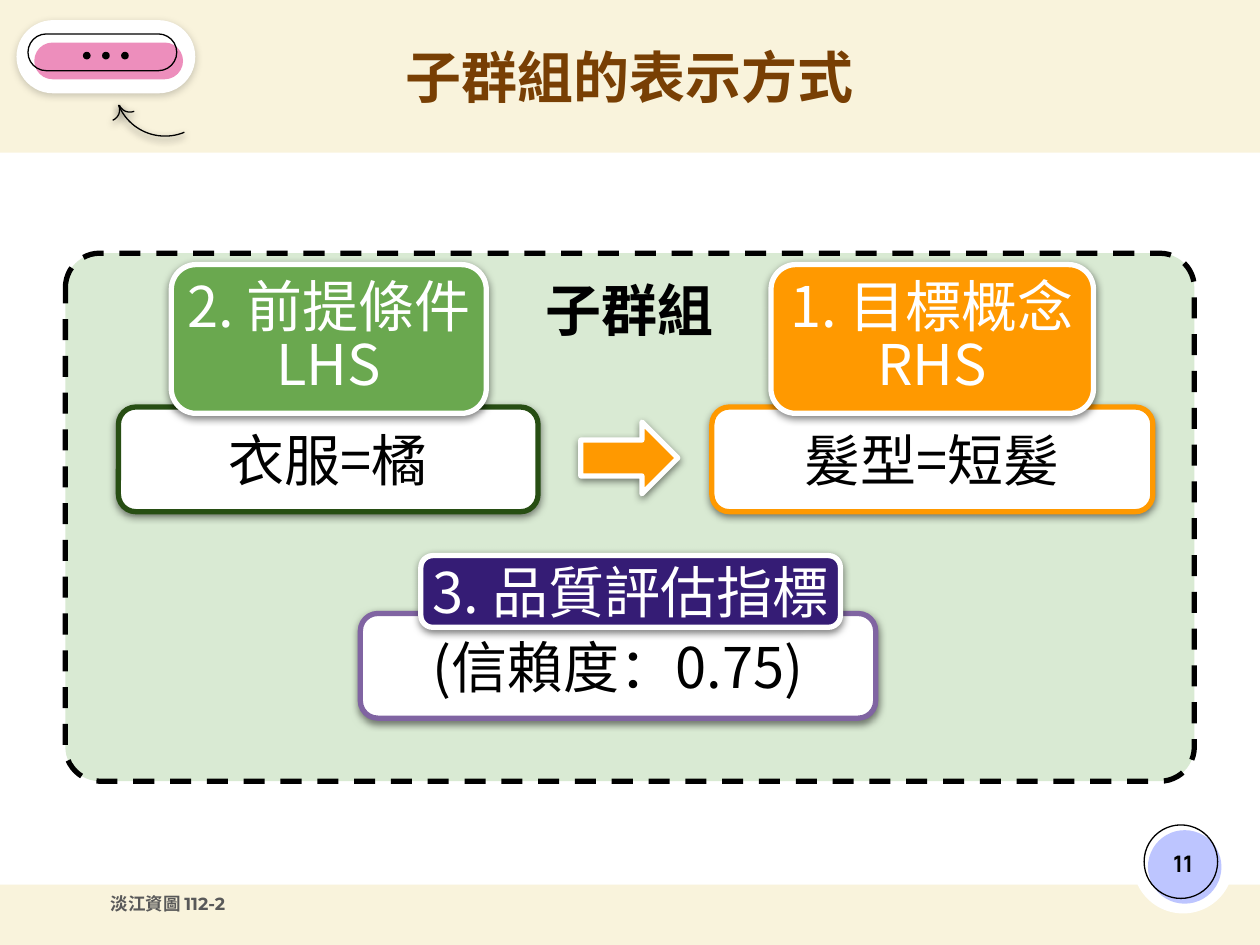
from lxml.etree import SubElement
from pptx import Presentation
from pptx.dml.color import RGBColor
from pptx.enum.dml import MSO_LINE
from pptx.enum.shapes import MSO_SHAPE
from pptx.enum.text import MSO_ANCHOR, PP_ALIGN
from pptx.oxml.ns import qn
from pptx.util import Pt

COLORS = {
    "cream": "F9F3DC", "white": "FFFFFF", "black": "000000", "gray": "595959",
    "brown": "783F04", "lilac": "BDC5FF", "pink": "ED8EBC", "mint": "D9EAD3",
    "green": "6AA84F", "forest": "274E13", "orange": "FF9900",
    "violet": "8064A2", "indigo": "351C75",
}
CJK_FONT = "Noto Sans CJK TC"
TITLE_FONT = "Manrope"
FOOTER_FONT = "Montserrat"


class SlideBuilder:
    """Holds the current slide and the style its elements share."""

    def __init__(self, slide):
        self.slide = slide

    def color(self, name):
        return RGBColor.from_string(COLORS[name])

    def background(self, name):
        fill = self.slide.background.fill
        fill.solid()
        fill.fore_color.rgb = self.color(name)

    def shape(self, kind, box, fill=None, line=None, width=0.75, corner=None, shadow=0):
        """Add a preset shape; shadow is the shadow's opacity in percent."""
        sp = self.slide.shapes.add_shape(kind, *map(Pt, box))
        sp.shadow.inherit = False
        if corner is not None:
            sp.adjustments[0] = corner
        if fill:
            sp.fill.solid()
            sp.fill.fore_color.rgb = self.color(fill)
        else:
            sp.fill.background()
        if line:
            sp.line.color.rgb = self.color(line)
            sp.line.width = Pt(width)
        else:
            sp.line.fill.background()
        if shadow:
            self.drop_shadow(sp, shadow)
        return sp

    def drop_shadow(self, sp, opacity):
        effects = sp._element.spPr.find(qn("a:effectLst"))
        outer = SubElement(effects, qn("a:outerShdw"), blurRad=str(Pt(4.5)),
                           dist=str(Pt(1.5)), dir="5400000", algn="bl", rotWithShape="0")
        rgb = SubElement(outer, qn("a:srgbClr"), val=COLORS["black"])
        SubElement(rgb, qn("a:alpha"), val=str(opacity * 1000))

    def arc(self, box, flip=False):
        """Add a quarter arc turned to form part of the curved arrow."""
        sp = self.shape(MSO_SHAPE.ARC, box, line="black", shadow=68)
        sp.rotation = 157.5
        if flip:
            sp._element.spPr.find(qn("a:xfrm")).set("flipH", "1")

    def set_text(self, sp, lines, size=32, font=CJK_FONT, color="black", bold=False,
                 align=PP_ALIGN.CENTER, anchor=MSO_ANCHOR.MIDDLE, side=7.2, top=7.2,
                 wrap=True, spacing=None):
        tf = sp.text_frame
        tf.word_wrap = wrap
        tf.vertical_anchor = anchor
        tf.margin_left = tf.margin_right = Pt(side)
        tf.margin_top, tf.margin_bottom = Pt(top), Pt(7.2)
        tf.text = "\n".join(lines)
        for p in tf.paragraphs:
            p.alignment = align
            p.line_spacing = spacing
            p.font.size = Pt(size)
            p.font.bold = bold
            p.font.color.rgb = self.color(color)
            p.font.name = font
            SubElement(p.font._element, qn("a:ea"), typeface=CJK_FONT)

    def text(self, box, line, **style):
        self.set_text(self.slide.shapes.add_textbox(*map(Pt, box)), [line], **style)

    def statement(self, box, line, border, side=7.2):
        sp = self.shape(MSO_SHAPE.ROUNDED_RECTANGLE, box, "white", border, 3, shadow=50)
        self.set_text(sp, [line], side=side)

    def label(self, box, lines, fill):
        sp = self.shape(MSO_SHAPE.ROUNDED_RECTANGLE, box, fill, "white", 3, shadow=50)
        self.set_text(sp, lines, color="white", side=0, wrap=False,
                      spacing=0.87 if len(lines) > 1 else None)


def add_frame(b):
    b.background("cream")
    b.text((56.2, 504, 310.3, 26.6), "淡江資圖 112-2", size=10, font=FOOTER_FONT,
           color="gray", bold=True, align=PP_ALIGN.LEFT, anchor=MSO_ANCHOR.TOP)
    b.shape(MSO_SHAPE.RECTANGLE, (0, 87.2, 720, 418.3), "white")
    b.shape(MSO_SHAPE.OVAL, (647.3, 464.4, 57.6, 57.6), "white")
    b.shape(MSO_SHAPE.OVAL, (656, 474.4, 42, 42), "lilac")
    b.shape(MSO_SHAPE.OVAL, (653.8, 471.4, 42, 42), line="black")


def add_speech_pill(b):
    b.arc((65.5, 20.2, 57.6, 57.6))
    b.arc((67.7, 51.1, 13, 13))
    b.arc((55.4, 56.2, 13, 13), flip=True)
    pill = MSO_SHAPE.ROUNDED_RECTANGLE
    b.shape(pill, (9.4, 11.5, 102.2, 41.8), "white", corner=0.5, shadow=19)
    b.shape(pill, (19.6, 24.3, 85, 21), "pink", corner=0.5)
    b.shape(pill, (16, 19.4, 85, 21), line="black", corner=0.5)
    for i in range(3):
        b.shape(MSO_SHAPE.OVAL, (47.4 + 10.9 * i, 29.6, 4.4, 4.4), "black")


def add_subgroup(b):
    panel = b.shape(MSO_SHAPE.ROUNDED_RECTANGLE, (37.4, 144.7, 645.1, 301.7),
                    "mint", "black", 3, corner=0.065)
    panel.line.dash_style = MSO_LINE.DASH
    b.set_text(panel, ["子群組"], bold=True, anchor=MSO_ANCHOR.TOP)

    b.statement((67.7, 232.6, 239.8, 59.8), "衣服=橘", "forest")
    arrow = b.shape(MSO_SHAPE.LEFT_ARROW, (331.9, 241.2, 55.4, 41),
                    "orange", "white", 3, shadow=50)
    arrow.rotation = 180
    b.statement((406.8, 232.6, 252, 59.8), "髮型=短髮", "orange", side=0)
    b.statement((205.9, 350.6, 294.5, 59.8), "(信賴度：0.75)", "violet")

    b.label((97.9, 151.2, 180, 85), ["2. 前提條件", "LHS"], "green")
    b.label((440.6, 151.2, 184.3, 85), ["1. 目標概念", "RHS"], "orange")
    b.label((240.5, 317.5, 239.8, 41), ["3. 品質評估指標"], "indigo")


def main():
    prs = Presentation()
    prs.slide_width, prs.slide_height = Pt(720), Pt(540)
    b = SlideBuilder(prs.slides.add_slide(prs.slide_layouts[6]))
    add_frame(b)
    add_speech_pill(b)
    b.text((111.6, 11.5, 496.8, 70.6), "子群組的表示方式", font=TITLE_FONT,
           color="brown", bold=True, top=0)
    b.text((654.5, 473, 43.2, 41), "11", size=13, font=TITLE_FONT, bold=True)
    add_subgroup(b)
    prs.save("out.pptx")


if __name__ == "__main__":
    main()
